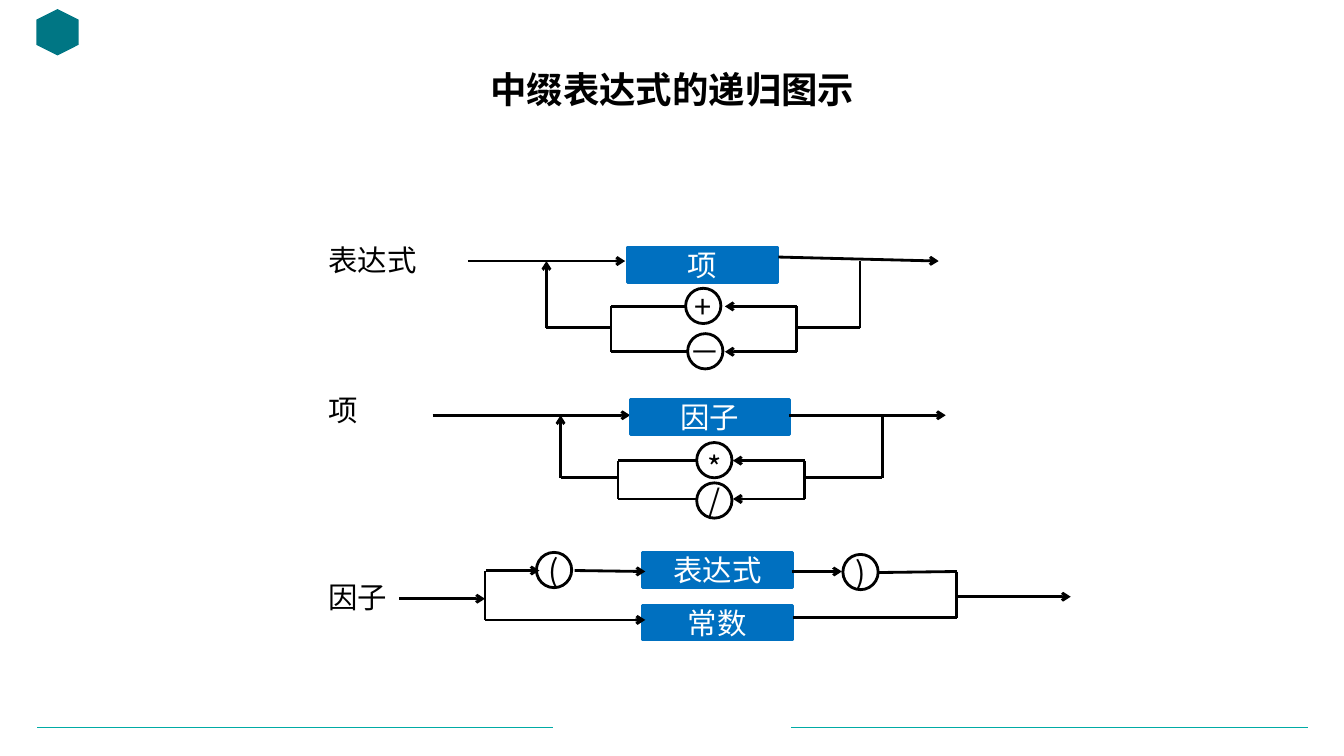
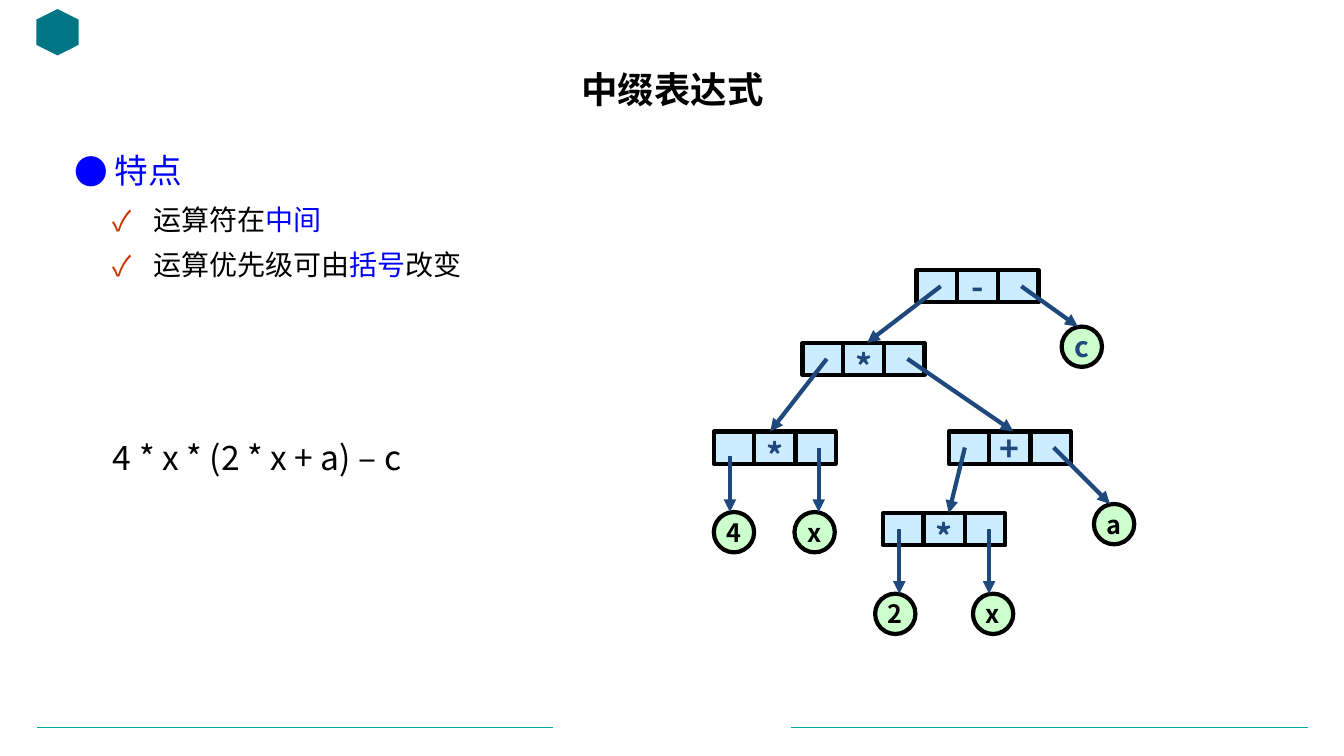
from lxml import etree
from pptx import Presentation
from pptx import util as u
from pptx.dml.color import RGBColor
from pptx.enum import shapes, text
from pptx.oxml.ns import qn

PX = 9144  # 100 px to the inch
FONT = "Noto Sans CJK SC"
BLACK = RGBColor(0x00, 0x00, 0x00)
WHITE = RGBColor(0xFF, 0xFF, 0xFF)
TEAL = RGBColor(0x00, 0xAB, 0xA5)
DARK_TEAL = RGBColor(0x00, 0x76, 0x84)
BLOCK_BLUE = RGBColor(0x00, 0x70, 0xC0)
TEXT_BLUE = RGBColor(0x00, 0x00, 0xFF)
CHECK_RED = RGBColor(0xCC, 0x33, 0x00)
NAVY = RGBColor(0x1F, 0x49, 0x7D)
PALE_BLUE = RGBColor(0xCC, 0xEC, 0xFF)
PALE_GREEN = RGBColor(0xCC, 0xFF, 0xCC)
KINDS = shapes.MSO_SHAPE


def px(*lengths):
    return [u.Emu(length * PX) for length in lengths]


def set_font(paragraph, size, color, bold=False):
    font = paragraph.font
    font.name, font.size, font.bold = FONT, u.Pt(size), bold
    font.color.rgb = color
    properties = paragraph._p.pPr.find(qn("a:defRPr"))
    etree.SubElement(properties, qn("a:ea"), typeface=FONT)


def add_line(slide, x1, y1, x2, y2, color=BLACK, width=2, tip=None):
    line = slide.shapes.add_connector(
        shapes.MSO_CONNECTOR.STRAIGHT, *px(x1, y1, x2, y2))
    line.line.color.rgb = color
    line.line.width = u.Pt(width)
    properties = line.element.spPr
    if tip:
        etree.SubElement(properties.find(qn("a:ln")), qn("a:tailEnd"), type=tip)
    etree.SubElement(properties, qn("a:effectLst"))
    return line


def add_arrow(slide, *ends):
    add_line(slide, *ends, tip="arrow")


def add_figure(slide, kind, box, fill=None, outline=BLACK, width=2):
    figure = slide.shapes.add_shape(kind, *px(*box))
    figure.shadow.inherit = False
    if fill is None:
        figure.fill.background()
    else:
        figure.fill.solid()
        figure.fill.fore_color.rgb = fill
    figure.line.color.rgb = outline
    figure.line.width = u.Pt(width)
    return figure


def write_inside(figure, words, size, color, bold=False):
    frame = figure.text_frame
    frame.word_wrap = False
    frame.vertical_anchor = text.MSO_ANCHOR.MIDDLE
    frame.margin_left = frame.margin_right = frame.margin_bottom = 0
    # An asterisk sits high on its line, so it is lowered to the centre.
    frame.margin_top = px(14 if words == "*" else 0)[0]
    paragraph = frame.paragraphs[0]
    paragraph.text = words
    paragraph.alignment = text.PP_ALIGN.CENTER
    set_font(paragraph, size, color, bold)


def add_block(slide, words, *box):
    block = add_figure(slide, KINDS.RECTANGLE, box, BLOCK_BLUE, BLOCK_BLUE)
    write_inside(block, words, 21, WHITE)


def add_symbol(slide, sign, left, top):
    circle = add_figure(slide, KINDS.OVAL, (left, top, 35, 35))
    write_inside(circle, sign, 22, BLACK)


def add_rule_name(slide, words, top):
    label = slide.shapes.add_textbox(*px(316, top, 156, 46))
    label.text_frame.word_wrap = True
    paragraph = label.text_frame.paragraphs[0]
    paragraph.text = words
    set_font(paragraph, 21, BLACK)


def add_loop(slide, main_y, low_y, columns, signs):
    """Draw the way back below a block, through one of the given signs."""
    entry, join, tip, split, leave = columns
    heights = [y for _, _, _, y in signs]
    add_line(slide, leave, main_y, leave, low_y)
    add_line(slide, leave, low_y, split, low_y)
    for x in (split, join):
        add_line(slide, x, heights[0], x, heights[-1])
    for sign, left, top, y in signs:
        add_arrow(slide, split, y, tip, y)
        add_symbol(slide, sign, left, top)
        add_line(slide, left, y, join, y)
    add_line(slide, join, low_y, entry, low_y)
    add_arrow(slide, entry, low_y, entry, main_y)


def add_record(slide, left, top, sign):
    """Draw a tree node: left link, operator, right link."""
    for offset, width, words in ((0, 40, ""), (40, 41, sign), (81, 40, "")):
        cell = add_figure(slide, KINDS.RECTANGLE, (left + offset, top, width, 32),
                          PALE_BLUE, width=3)
        if words:
            write_inside(cell, words, 24, NAVY, True)


def add_leaf(slide, words, left, top, size=18, color=BLACK):
    leaf = add_figure(slide, KINDS.OVAL, (left, top, 40, 40), PALE_GREEN, width=3)
    write_inside(leaf, words, size, color, True)


def format_item(paragraph, runs, size, margin, hang, before, bullet=None,
                bullet_color=None, level=0):
    for words, color in runs:
        run = paragraph.add_run()
        run.text = words
        run.font.color.rgb = color
    paragraph.level = level
    paragraph.line_spacing = 1.1
    paragraph.space_before = u.Pt(before)
    properties = paragraph._p.get_or_add_pPr()
    properties.set("marL", str(margin * PX))
    properties.set("indent", str(-hang * PX))
    if bullet:
        tint = etree.SubElement(properties, qn("a:buClr"))
        etree.SubElement(tint, qn("a:srgbClr"), val=str(bullet_color))
        etree.SubElement(properties, qn("a:buFont"), typeface=FONT)
        etree.SubElement(properties, qn("a:buChar"), char=bullet)
    else:
        etree.SubElement(properties, qn("a:buNone"))
    set_font(paragraph, size, BLACK)


def add_titled_slide(deck, layout, words):
    slide = deck.slides.add_slide(deck.slide_layouts.get_by_name(layout))
    title = slide.shapes.title
    title.left, title.top, title.width, title.height = px(92, 62, 1150, 57)
    frame = title.text_frame
    frame.vertical_anchor = text.MSO_ANCHOR.MIDDLE
    paragraph = frame.paragraphs[0]
    paragraph.text = words
    paragraph.alignment = text.PP_ALIGN.CENTER
    paragraph.line_spacing = 0.9
    set_font(paragraph, 26, BLACK, True)
    for start, end in ((37, 548), (785, 1297)):
        add_line(slide, start, 722, end, 722, TEAL, 0.5)
    emblem = add_figure(slide, KINDS.HEXAGON, (34, 11, 46, 42), DARK_TEAL)
    emblem.line.fill.background()
    emblem.rotation = 90
    return slide


def build_syntax_slide(deck):
    slide = add_titled_slide(deck, "Title Only", "中缀表达式的递归图示")
    for words, top in (("表达式", 235), ("项", 384), ("因子", 570)):
        add_rule_name(slide, words, top)

    add_arrow(slide, 464, 259, 620, 259)
    add_block(slide, "项", 622, 245, 149, 35)
    add_arrow(slide, 772, 255, 931, 259)
    add_loop(slide, 259, 325, (542, 606, 719, 790, 853),
             (("+", 680, 286, 304), ("－", 682, 331, 349)))

    add_arrow(slide, 429, 412, 625, 412)
    add_block(slide, "因子", 625, 396, 158, 35)
    add_arrow(slide, 783, 412, 938, 412)
    add_loop(slide, 412, 474, (556, 613, 727, 798, 875),
             (("*", 691, 439, 457), ("/", 691, 479, 495)))

    add_block(slide, "表达式", 637, 548, 149, 35)
    add_block(slide, "常数", 637, 601, 149, 34)
    add_symbol(slide, "(", 532, 548)
    add_symbol(slide, ")", 836, 550)
    for ends in ((396, 594, 481, 594), (482, 566, 535, 566), (570, 566, 640, 567),
                 (481, 615, 640, 615), (786, 567, 835, 567), (949, 592, 1062, 592)):
        add_arrow(slide, *ends)
    for ends in ((481, 566, 481, 615), (871, 568, 949, 567),
                 (949, 567, 949, 613), (949, 613, 787, 613)):
        add_line(slide, *ends)


def build_tree_slide(deck):
    slide = add_titled_slide(deck, "Title and Content", "中缀表达式")
    features = slide.placeholders[1]
    features.left, features.top, features.width, features.height = px(64, 140, 1209, 553)
    frame = features.text_frame
    check = dict(size=20, margin=78, hang=40, before=6, bullet="✓",
                 bullet_color=CHECK_RED, level=1)
    format_item(frame.paragraphs[0], [("特点", TEXT_BLUE)], 24, 40, 40, 6,
                "●", TEXT_BLUE)
    format_item(frame.add_paragraph(),
                [("运算符在", BLACK), ("中间", TEXT_BLUE)], **check)
    format_item(frame.add_paragraph(),
                [("运算优先级可由", BLACK), ("括号", TEXT_BLUE), ("改变", BLACK)], **check)
    format_item(frame.add_paragraph(), [("4 * x * (2 * x + a) – c", BLACK)],
                24, 78, 40, 108, level=1)

    for record in ((909, 268, "-"), (796, 340, "*"), (708, 428, "*"),
                   (941, 428, "+"), (876, 509, "*")):
        add_record(slide, *record)
    add_leaf(slide, "c", 1053, 324, 20, NAVY)
    for leaf in (("4", 708, 508), ("x", 788, 508), ("a", 1085, 500),
                 ("2", 868, 589), ("x", 965, 589)):
        add_leaf(slide, *leaf)
    for link in ((933, 284, 860, 340), (1013, 284, 1069, 324), (820, 356, 764, 428),
                 (900, 356, 1005, 428), (724, 452, 724, 508), (812, 444, 812, 508),
                 (957, 444, 941, 509), (1045, 444, 1101, 500), (892, 525, 892, 589),
                 (981, 525, 981, 589)):
        add_line(slide, *link, color=NAVY, width=3, tip="triangle")


def main():
    deck = Presentation()
    deck.slide_width, deck.slide_height = px(1333, 750)
    build_syntax_slide(deck)
    build_tree_slide(deck)
    deck.save("out.pptx")


if __name__ == "__main__":
    main()
